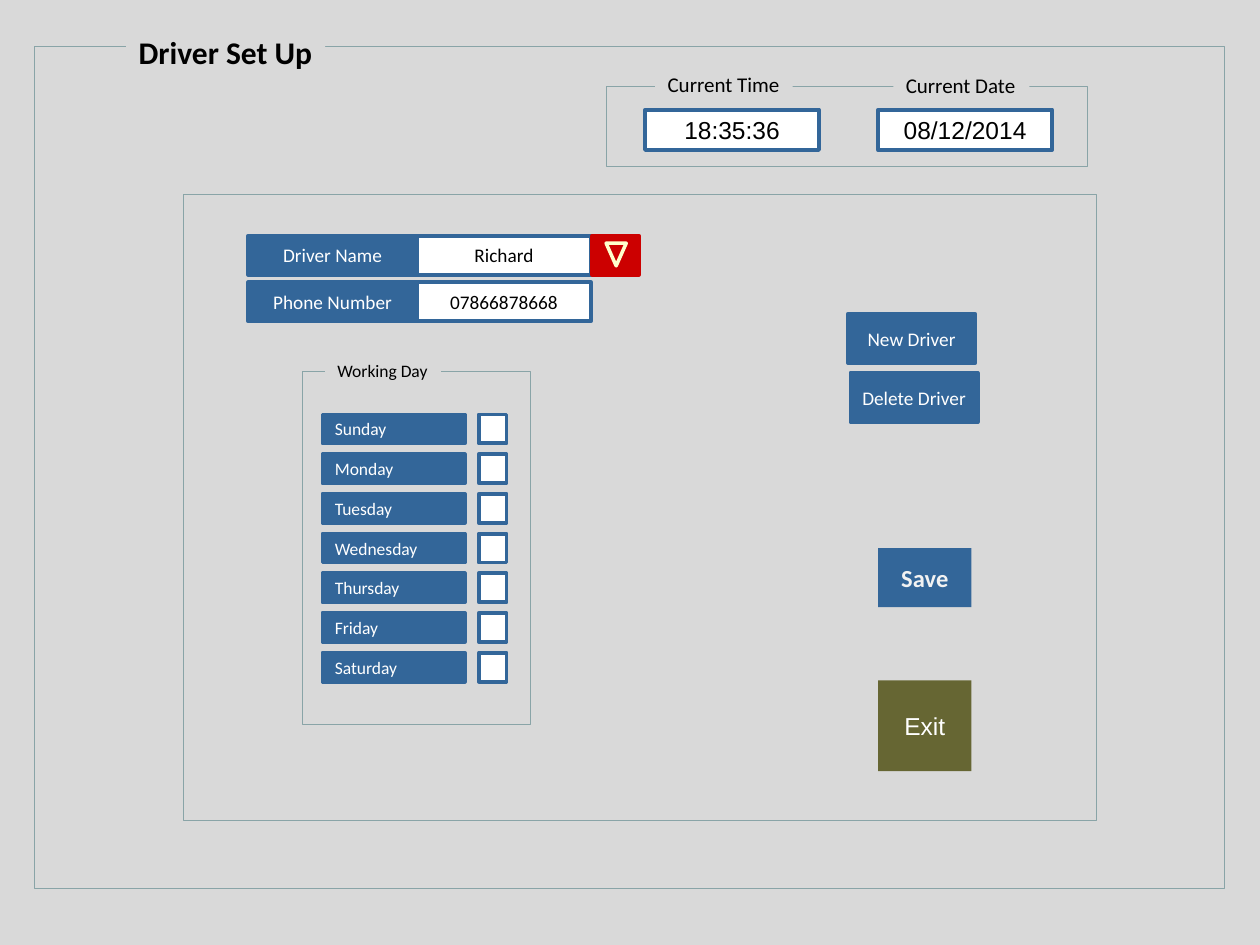
from dataclasses import dataclass

from pptx import Presentation
from pptx.dml.color import RGBColor
from pptx.enum.shapes import MSO_SHAPE
from pptx.enum.text import MSO_ANCHOR, MSO_AUTO_SIZE, PP_ALIGN
from pptx.util import Inches, Pt

RECT, TRIANGLE = MSO_SHAPE.RECTANGLE, MSO_SHAPE.ISOSCELES_TRIANGLE
TOP, MIDDLE = MSO_ANCHOR.TOP, MSO_ANCHOR.MIDDLE
LEFT, CENTER = PP_ALIGN.LEFT, PP_ALIGN.CENTER
DAYS = ["Sunday", "Monday", "Tuesday", "Wednesday", "Thursday", "Friday", "Saturday"]


@dataclass(frozen=True)
class Theme:
    page: str = "D9D9D9"
    frame: str = "89A4A7"
    blue: str = "336699"
    white: str = "FFFFFF"
    black: str = "000000"
    olive: str = "666633"
    red: str = "CC0000"
    cream: str = "FFFFCC"
    pale: str = "F2F2F2"
    font: str = "Calibri"
    alt_font: str = "Arial"
    title: float = 18
    value: float = 14
    caption: float = 12
    field: float = 11
    small: float = 10
    hairline: float = 0.5
    border: float = 2.25
    arrow: float = 2


T = Theme()


def write(sp, text, size, color, font=T.font, bold=False, align=CENTER, anchor=MIDDLE):
    tf = sp.text_frame
    tf.text = text
    tf.word_wrap = False
    tf.auto_size = MSO_AUTO_SIZE.NONE
    tf.vertical_anchor = anchor
    tf.margin_left = tf.margin_right = Inches(0.1)
    tf.margin_top = tf.margin_bottom = Inches(0.05)
    p = tf.paragraphs[0]
    p.alignment = align
    p.font.name, p.font.size, p.font.bold = font, Pt(size), bold
    p.font.color.rgb = RGBColor.from_string(color)


def add_box(shapes, x, y, w, h, fill=None, line=None, weight=T.border, kind=RECT):
    sp = shapes.add_shape(kind, Inches(x), Inches(y), Inches(w), Inches(h))
    sp.shadow.inherit = False
    if fill:
        sp.fill.solid()
        sp.fill.fore_color.rgb = RGBColor.from_string(fill)
    else:
        sp.fill.background()
    if line:
        sp.line.color.rgb = RGBColor.from_string(line)
        sp.line.width = Pt(weight)
    else:
        sp.line.fill.background()
    return sp


def add_frame(s, x, y, w, h):
    return add_box(s.shapes, x, y, w, h, line=T.frame, weight=T.hairline)


def add_caption(s, text, x, y, w, h, size):
    write(add_box(s.shapes, x, y, w, h, T.page), text, size, T.black,
          align=LEFT, anchor=TOP)


def add_title(s, frame, x, y, w, h):
    sp = s.shapes.title
    sp.left, sp.top, sp.width, sp.height = (Inches(v) for v in (x, y, w, h))
    sp.fill.solid()
    sp.fill.fore_color.rgb = RGBColor.from_string(T.page)
    write(sp, "Driver Set Up", T.title, T.black, bold=True, align=LEFT, anchor=TOP)
    frame.element.addnext(sp.element)  # the title interrupts the frame's top edge


def add_clock(s, x, y, w, h):
    add_frame(s, x, y, w, h)
    for caption, value, value_dx, caption_dx, caption_dy, caption_w in (
        ("Current Time", "18:35:36", 0.31, 0.39, -0.17, 1.09),
        ("Current Date", "08/12/2014", 2.16, 2.28, -0.16, 1.08),
    ):
        sp = add_box(s.shapes, x + value_dx, y + 0.18, 1.38, 0.32, T.white, T.blue)
        write(sp, value, T.value, T.black, T.alt_font)
        add_caption(s, caption, x + caption_dx, y + caption_dy, caption_w, 0.3, T.caption)


def add_driver_fields(s, x, y, w, h):
    label_w, row_h, pitch, button_w = 1.34, 0.31, h - 0.31, 0.37
    value_w = w - label_w - button_w - 0.01
    for i, (label, value) in enumerate((("Driver Name", "Richard"),
                                        ("Phone Number", "07866878668"))):
        top = y + i * pitch
        sp = add_box(s.shapes, x + label_w, top, value_w, row_h, T.white, T.blue)
        write(sp, value, T.field, T.black)
        sp = add_box(s.shapes, x, top, label_w, row_h, T.blue, T.blue)
        write(sp, label, T.field, T.white)

    # Drop-down button beside the name
    button = s.shapes.add_group_shape()
    left = x + w - button_w
    add_box(button.shapes, left, y, button_w, row_h, T.red, T.red)
    arrow = add_box(button.shapes, left + 0.11, y + 0.06, 0.16, 0.18,
                    T.red, T.cream, T.arrow, TRIANGLE)
    arrow.rotation = 180


def add_working_days(s, x, y, w, h):
    add_frame(s, x, y, w, h)
    add_caption(s, "Working Day", x + 0.18, y - 0.14, 0.92, 0.27, T.small)
    pitch = 0.315
    for i, day in enumerate(DAYS):
        top = y + 0.34 + i * pitch
        sp = add_box(s.shapes, x + 0.16, top, 1.13, 0.23, T.blue, T.blue)
        write(sp, day, T.small, T.white, align=LEFT)
        add_box(s.shapes, x + 1.4, top, 0.22, 0.23, T.white, T.blue)


def add_buttons(s, x, y):
    for text, dx, dy in (("New Driver", 0, 0), ("Delete Driver", 0.02, 0.47)):
        sp = add_box(s.shapes, x + dx, y + dy, 1.01, 0.39, T.blue, T.blue)
        write(sp, text, T.field, T.white)
    sp = add_box(s.shapes, x + 0.24, y + 1.86, 0.74, 0.47, T.blue)
    write(sp, "Save", T.value, T.pale, bold=True)
    sp = add_box(s.shapes, x + 0.24, y + 2.91, 0.74, 0.72, T.olive)
    write(sp, "Exit", T.value, T.white, T.alt_font)


def main():
    prs = Presentation()
    prs.slide_width, prs.slide_height = Inches(10), Inches(7.5)
    s = prs.slides.add_slide(prs.slide_layouts[5])

    # Page and outer frame
    add_box(s.shapes, 0, 0, 10, 7.5, T.page)
    frame = add_frame(s, 0.27, 0.37, 9.45, 6.68)
    add_title(s, frame, 1, 0.21, 1.58, 0.4)
    add_clock(s, 4.81, 0.69, 3.82, 0.63)

    # Driver panel
    add_frame(s, 1.46, 1.54, 7.24, 4.97)
    add_driver_fields(s, 1.97, 1.87, 3.1, 0.68)
    add_working_days(s, 2.4, 2.95, 1.81, 2.8)
    add_buttons(s, 6.73, 2.49)

    prs.save("out.pptx")


if __name__ == "__main__":
    main()
